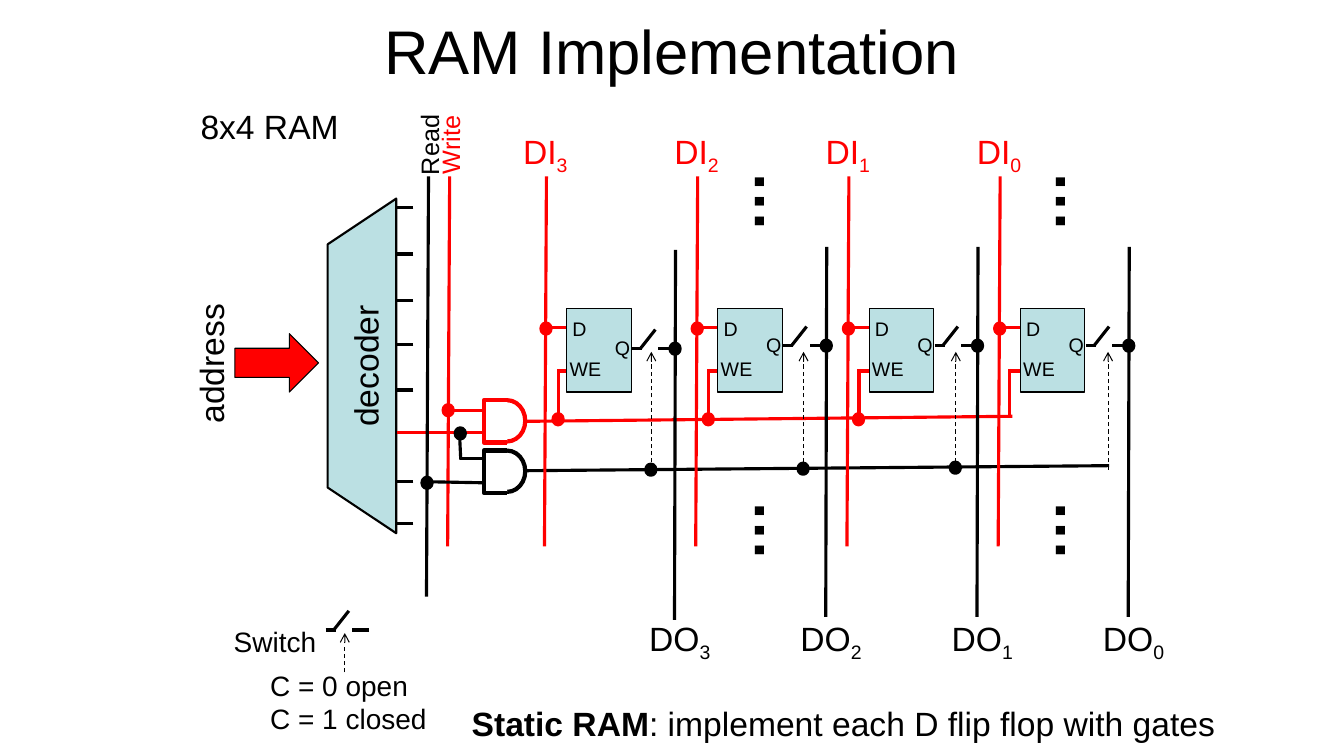
from lxml.etree import SubElement
from pptx import Presentation
from pptx.dml.color import RGBColor
from pptx.enum.dml import MSO_LINE
from pptx.enum.shapes import MSO_CONNECTOR, MSO_SHAPE
from pptx.enum.text import MSO_ANCHOR, MSO_AUTO_SIZE, PP_ALIGN
from pptx.oxml.ns import qn
from pptx.util import Inches, Pt

BLACK, RED, TEAL, WHITE = "000000", "FF0000", "BBE0E3", "FFFFFF"
COLUMN_PITCH = 1.5


def colour(value):
    return RGBColor.from_string(value)


def write(para, text, size, ink=BLACK, bold=False, subscript=False):
    span = para.add_run()
    span.text = text
    span.font.name = "Arial"
    span.font.size = Pt(size)
    span.font.bold = bold
    span.font.color.rgb = colour(ink)
    if subscript:
        span._r.get_or_add_rPr().set("baseline", "-25000")


def text_box(page, left, top, width, height, rotation=0):
    """Add an unwrapped text box and return its text frame."""
    box = page.shapes.add_textbox(*map(Inches, (left, top, width, height)))
    box.rotation = rotation
    box.text_frame.word_wrap = False
    box.text_frame.auto_size = MSO_AUTO_SIZE.SHAPE_TO_FIT_TEXT
    return box.text_frame


def label(page, text, place, size, ink=BLACK, rotation=0, bold=False, index=""):
    """Add a one-line label, with an optional subscript index."""
    para = text_box(page, *place, rotation).paragraphs[0]
    write(para, text, size, ink, bold)
    if index:
        write(para, index, size, ink, subscript=True)


def solid(page, kind, place, fill, ink=None, weight=0.75):
    shape = page.shapes.add_shape(kind, *map(Inches, place))
    shape.shadow.inherit = False
    shape.fill.solid()
    shape.fill.fore_color.rgb = colour(fill)
    if ink:
        shape.line.color.rgb = colour(ink)
        shape.line.width = Pt(weight)
    else:
        shape.line.fill.background()
    return shape


def wire(page, start, end, ink=BLACK, weight=2.25):
    line = page.shapes.add_connector(
        MSO_CONNECTOR.STRAIGHT, *map(Inches, (*start, *end)))
    line.line.color.rgb = colour(ink)
    line.line.width = Pt(weight)
    SubElement(line._element.spPr, qn("a:effectLst"))
    return line


def control_arrow(page, start, end):
    line = wire(page, start, end, weight=0.75)
    line.line.dash_style = MSO_LINE.DASH
    outline = line._element.spPr.find(qn("a:ln"))
    SubElement(outline, qn("a:tailEnd"), type="arrow")


def junction(page, x, y, ink=BLACK):
    solid(page, MSO_SHAPE.OVAL, (x - 0.05, y - 0.05, 0.09, 0.1), ink, ink, 3)


def switch(page, left, y):
    wire(page, (left, y), (left + 0.1, y))
    wire(page, (left + 0.23, y - 0.19), (left + 0.08, y))
    wire(page, (left + 0.43, y), (left + 0.26, y))


def and_gate(page, left, top, ink):
    solid(page, MSO_SHAPE.OVAL, (left + 0.05, top, 0.36, 0.41), WHITE, ink, 3)
    solid(page, MSO_SHAPE.RECTANGLE, (left, top + 0.02, 0.23, 0.39), WHITE)
    right, bottom = left + 0.23, top + 0.42
    builder = page.shapes.build_freeform(Inches(right), Inches(top))
    corners = [(left, top), (left, bottom), (right, bottom)]
    builder.add_line_segments([(Inches(x), Inches(y)) for x, y in corners], close=False)
    outline = builder.convert_to_shape()
    outline.shadow.inherit = False
    outline.fill.background()
    outline.line.color.rgb = colour(ink)
    outline.line.width = Pt(3)


def decoder(page, left, top):
    width, height = 0.68, 3.32
    # The trapezoid lies on its side, so its unrotated box is wide and low.
    place = (left + (width - height) / 2, top + (height - width) / 2, height, width)
    body = solid(page, MSO_SHAPE.TRAPEZOID, place, TEAL, BLACK, 1.5)
    body.adjustments[0] = 0.667
    body.rotation = 270
    body.text_frame.vertical_anchor = MSO_ANCHOR.MIDDLE
    para = body.text_frame.paragraphs[0]
    para.alignment = PP_ALIGN.CENTER
    write(para, "decoder", 24)
    label(page, "address", (left - 1.86, top + 1.38, 1.4, 0.5), 24, rotation=270)
    solid(page, MSO_SHAPE.RIGHT_ARROW, (left - 0.92, top + 1.34, 0.83, 0.58), RED, BLACK)
    for drop in (0.09, 0.55, 1.01, 1.45, 1.9, 2.81, 3.22):
        wire(page, (left + 0.85, top + drop), (left + 0.68, top + drop))


def control_lines(page, left, top):
    """Draw the read and write lines, their gates and the two row buses."""
    wire(page, (left + 0.58, top + 2.32), (left + 0.22, top + 2.32), RED)
    wire(page, (left + 5.79, top + 2.38), (left + 0.96, top + 2.43), RED)
    wire(page, (left + 0.58, top + 2.54), (left - 0.31, top + 2.54), RED)
    and_gate(page, left + 0.55, top + 2.22, RED)
    wire(page, (left + 0.21, top), (left + 0.19, top + 3.67), RED)
    junction(page, left + 0.2, top + 2.32, RED)
    label(page, "Write", (left - 0.18, top - 0.52, 0.79, 0.4), 18, RED, 270)

    wire(page, (left + 0.55, top + 2.8), (left + 0.31, top + 2.8))
    wire(page, (left + 0.56, top + 3.04), (left + 0.03, top + 3.03))
    wire(page, (left, top), (left - 0.02, top + 4.17))
    junction(page, left - 0.01, top + 3.04)
    label(page, "Read", (left - 0.4, top - 0.52, 0.81, 0.4), 18, rotation=270)
    and_gate(page, left + 0.55, top + 2.72, BLACK)
    wire(page, (left + 0.32, top + 2.81), (left + 0.31, top + 2.6))
    junction(page, left + 0.32, top + 2.55)
    wire(page, (left + 6.75, top + 2.87), (left + 0.97, top + 2.92))


def bit_column(page, left, top, order):
    """Draw one bit: data lines, flip flop, switch and bus taps."""
    is_first, is_last = order == 0, order == 3
    bit = str(3 - order)
    shift = 0.03 if is_first else 0
    enable = left + 0.12 - 0.01 * order
    label(page, "DI", (left - 0.33, top - 0.5, 0.66, 0.5), 24, RED, index=bit)
    wire(page, (left, top), (left - 0.02, top + 3.67), RED)
    wire(page, (left + 0.41, top + 1.5), (left + 0.04, top + 1.5), RED)
    junction(page, left, top + 1.51, RED)
    wire(page, (left + 0.37, top + 1.93), (enable, top + 1.93), RED)
    wire(page, (enable, top + 1.91), (enable, top + (2.4 if is_last else 2.42)), RED)

    solid(page, MSO_SHAPE.RECTANGLE, (left + 0.2, top + 1.31, 0.64, 0.83), TEAL, BLACK)
    label(page, "D", (left + 0.16, top + 1.34, 0.34, 0.34), 14)
    label(page, "WE", (left + 0.13, top + 1.74, 0.52, 0.34), 14)
    label(page, "Q", (left + 0.58, top + 1.5 + shift, 0.35, 0.34), 14)

    output_y = top + 1.68 + shift
    control = left + 1.04 + 0.01 * order
    wire(page, (left + 1.28, top + 0.7 + shift), (left + 1.27, top + 4.37 + shift))
    switch(page, left + 0.85, output_y)
    junction(page, left + 1.28, output_y)
    control_arrow(page, (control, top + 2.91), (control, top + 1.74))
    if not is_last:
        junction(page, enable, top + 2.41, RED)
        junction(page, control, top + 2.91 - 0.01 * order)
    label(page, "DO", (left + 0.92, top + 4.33, 0.83, 0.5), 24, index=bit)


def switch_legend(page, left, top):
    switch(page, left + 1.01, top + 0.1)
    control_arrow(page, (left + 1.2, top + 0.52), (left + 1.2, top + 0.13))
    label(page, "Switch", (left, top, 1.03, 0.44), 20)
    frame = text_box(page, left + 0.36, top + 0.43, 1.77, 0.77)
    write(frame.paragraphs[0], "C = 0 open", 20)
    write(frame.add_paragraph(), "C = 1 closed", 20)


def heading(page, left, top, width, height):
    title = page.shapes.title
    title.left, title.top, title.width, title.height = map(
        Inches, (left, top, width, height))
    title.text_frame.vertical_anchor = MSO_ANCHOR.MIDDLE
    para = title.text_frame.paragraphs[0]
    para.alignment = PP_ALIGN.CENTER
    write(para, "RAM Implementation", 44)


def main():
    deck = Presentation()
    deck.slide_width, deck.slide_height = Inches(13.33), Inches(7.5)
    page = deck.slides.add_slide(deck.slide_layouts[5])
    heading(page, 2.08, 0.08, 9.17, 0.83)
    label(page, "8x4 RAM", (1.89, 1, 1.59, 0.5), 24)
    decoder(page, 3.25, 1.97)
    control_lines(page, 4.25, 1.75)
    for order in range(4):
        bit_column(page, 5.42 + COLUMN_PITCH * order, 1.75, order)
    for top in (1.57, 4.84):
        for left in (6.93, 9.92):
            label(page, "…", (left, top, 0.82, 0.84), 44, rotation=270, bold=True)
    switch_legend(page, 2.22, 6.15)
    summary = text_box(page, 4.58, 6.92, 7.65, 0.5).paragraphs[0]
    write(summary, "Static RAM", 24, bold=True)
    write(summary, ": implement each D flip flop with gates", 24)
    deck.save("out.pptx")


if __name__ == "__main__":
    main()
